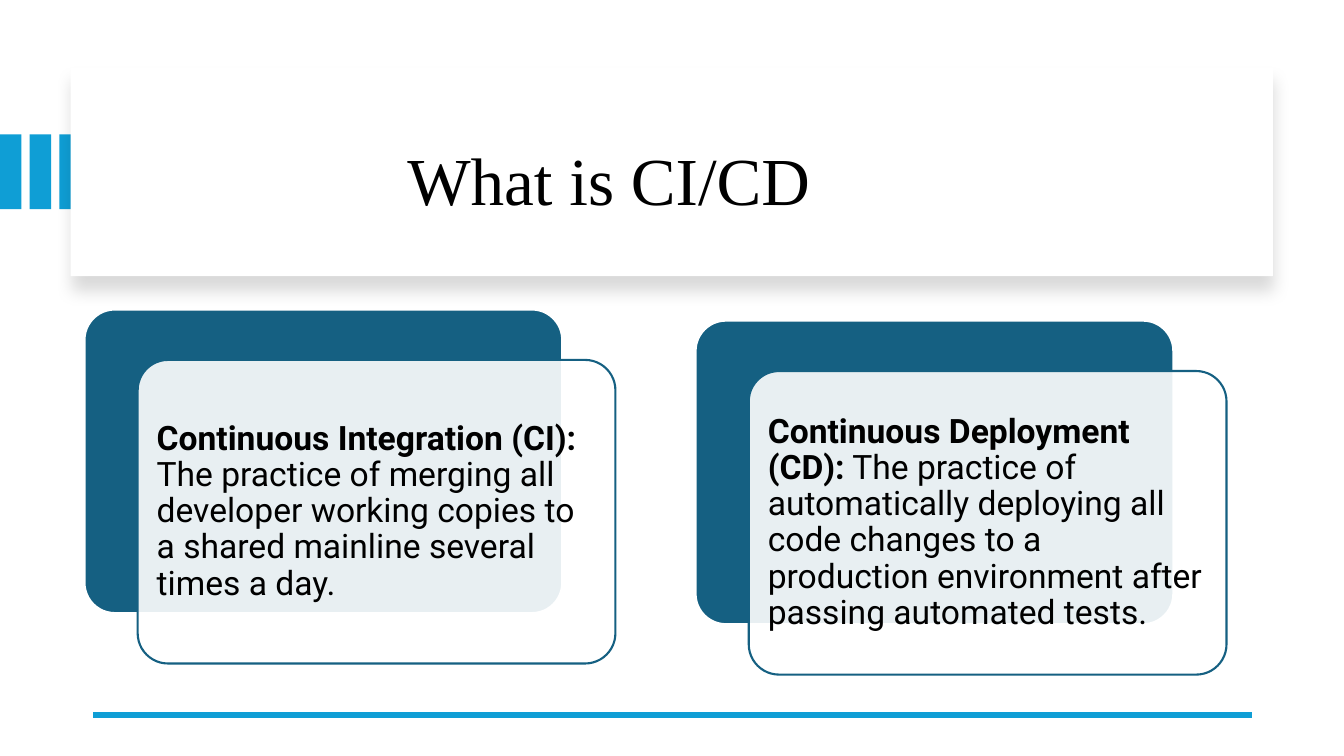
"""Build the slide that explains CI and CD with two layered cards."""
from dataclasses import dataclass
from typing import Any, Optional

from lxml.etree import SubElement
from pptx import Presentation
from pptx.dml.color import RGBColor as Rgb
from pptx.enum.shapes import MSO_CONNECTOR as Conn, MSO_SHAPE as Kind
from pptx.enum.text import MSO_ANCHOR as Anchor, MSO_AUTO_SIZE as Fit, PP_ALIGN as Align
from pptx.oxml.ns import qn
from pptx.util import Cm, Pt


@dataclass(frozen=True)
class Theme:
    sky: Rgb = Rgb(0x0F, 0x9E, 0xD5)
    deep: Rgb = Rgb(0x15, 0x60, 0x82)
    white: Rgb = Rgb(0xFF, 0xFF, 0xFF)
    black: Rgb = Rgb(0, 0, 0)
    head: str = "Times New Roman"
    body: str = "Roboto"
    big: Pt = Pt(48)
    mid: Pt = Pt(24)
    edge: Pt = Pt(1.5)
    rule: Pt = Pt(4.5)


@dataclass(frozen=True)
class Box:
    x: float
    y: float
    w: float
    h: float

    def move(self, dx: float, dy: float) -> "Box":
        return Box(self.x + dx, self.y + dy, self.w, self.h)

    def inset(self, gap: float) -> "Box":
        return Box(self.x + gap, self.y + gap, self.w - 2 * gap, self.h - 2 * gap)

    def size(self) -> tuple:
        return Cm(self.x), Cm(self.y), Cm(self.w), Cm(self.h)


@dataclass(frozen=True)
class Card:
    x: float
    y: float
    term: str
    text: str


THEME = Theme()
BAR = Box(0, 3.39, 0.54, 1.88)
STEP = 0.75
PANEL = Box(1.78, 1.7, 30.3, 5.26)
TITLE = Box(10.01, 3.35, 17.7, 2.31)
CARDS = [
    Card(2.13, 7.8, "Continuous Integration (CI):",
         " The practice of merging all developer working copies to a shared mainline several times a day."),
    Card(17.53, 8.08, "Continuous Deployment (CD):",
         " The practice of automatically deploying all code changes to a production environment"
         " after passing automated tests."),
]


def put(item: Any, form: dict) -> None:
    for name, value in form.items():
        setattr(item, name, value)


def block(shapes: Any, kind: Kind, box: Box, fill: Rgb, line: Optional[Rgb] = None) -> Any:
    shape = shapes.add_shape(kind, *box.size())
    shape.shadow.inherit = False
    shape.fill.solid()
    shape.fill.fore_color.rgb = fill
    if line is None:
        shape.line.fill.background()
    else:
        shape.line.color.rgb = line
        shape.line.width = THEME.edge
    if kind == Kind.ROUNDED_RECTANGLE:
        shape.adjustments[0] = 0.1
    return shape


def alpha(color: Any, rate: int) -> None:
    SubElement(color, qn("a:alpha"), val=str(rate * 1000))


def shade(shape: Any) -> None:
    glow = SubElement(shape.element.spPr.find(qn("a:effectLst")), qn("a:outerShdw"),
                      blurRad=str(Pt(11)), dist=str(Pt(10)), dir="5400000",
                      algn="t", rotWithShape="0")
    alpha(SubElement(glow, qn("a:srgbClr"), val=str(THEME.black)), 15)


def write(para: Any, text: str, form: dict) -> None:
    run = para.add_run()
    run.text = text
    put(run.font, form)
    run.font.color.rgb = THEME.black


def draw(shapes: Any, card: Card) -> None:
    group = shapes.add_group_shape().shapes
    back = Box(card.x, card.y, 12.04, 7.65)
    front = back.move(1.34, 1.27)
    block(group, Kind.ROUNDED_RECTANGLE, back, THEME.deep, THEME.white)
    pane = block(group, Kind.ROUNDED_RECTANGLE, front, THEME.white, THEME.deep)
    alpha(pane.element.spPr.find(qn("a:solidFill"))[0], 90)
    frame = group.add_textbox(*front.inset(0.23).size()).text_frame
    sides = ("left", "top", "right", "bottom")
    put(frame, {"word_wrap": True, "vertical_anchor": Anchor.MIDDLE,
                **{f"margin_{side}": Cm(0.25) for side in sides}})
    para = frame.paragraphs[0]
    put(para, {"alignment": Align.LEFT, "line_spacing": 0.9, "space_after": Pt(8.4)})
    for text, bold in ((card.term, True), (card.text, False)):
        write(para, text, {"name": THEME.body, "size": THEME.mid, "bold": bold})


def rule(shapes: Any) -> None:
    line = shapes.add_connector(Conn.STRAIGHT, Cm(31.55), Cm(18.01), Cm(2.34), Cm(18.01))
    line.line.color.rgb = THEME.sky
    line.line.width = THEME.rule
    SubElement(line.element.spPr, qn("a:effectLst"))


def head(title: Any) -> None:
    left, top, width, height = TITLE.size()
    put(title, {"left": left, "top": top, "width": width, "height": height})
    frame = title.text_frame
    put(frame, {"word_wrap": True, "auto_size": Fit.SHAPE_TO_FIT_TEXT,
                "vertical_anchor": Anchor.TOP})
    para = frame.paragraphs[0]
    para.alignment = Align.LEFT
    write(para, "What is CI/CD", {"name": THEME.head, "size": THEME.big})
    title.element.getparent().append(title.element)


def main() -> None:
    deck = Presentation()
    put(deck, {"slide_width": Cm(33.87), "slide_height": Cm(19.05)})
    slide = deck.slides.add_slide(deck.slide_layouts[5])
    shapes = slide.shapes
    bars = shapes.add_group_shape().shapes
    for i in range(3):
        block(bars, Kind.RECTANGLE, BAR.move(i * STEP, 0), THEME.sky)
    shade(block(shapes, Kind.RECTANGLE, PANEL, THEME.white))
    rule(shapes)
    for card in CARDS:
        draw(shapes, card)
    head(shapes.title)
    deck.save("out.pptx")


if __name__ == "__main__":
    main()
